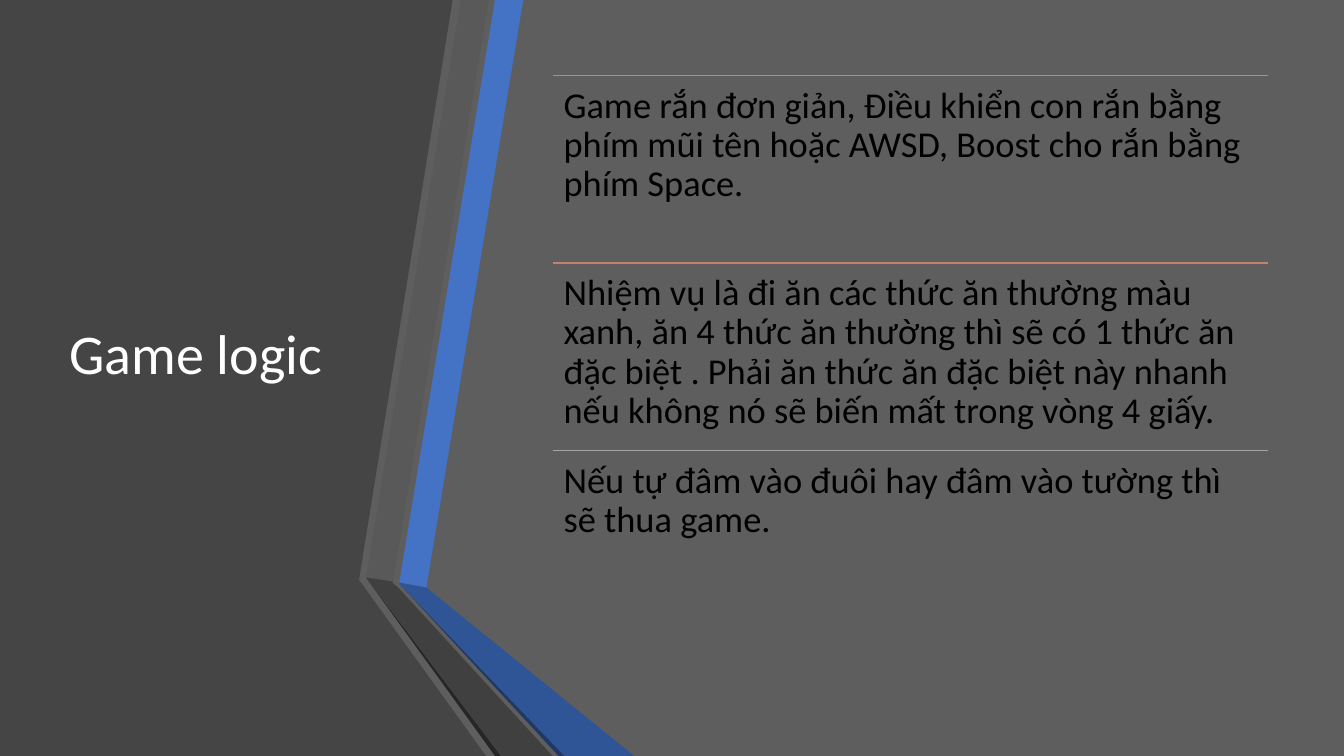
from lxml.etree import SubElement
from pptx import Presentation
from pptx.dml.color import RGBColor
from pptx.enum.shapes import MSO_CONNECTOR
from pptx.enum.text import MSO_ANCHOR
from pptx.oxml.ns import qn
from pptx.util import Inches, Pt

# All positions are percent of the slide's width and height.
FOLD_LEFT, FOLD_TOP = 27.23, 76.4
BLUE_LEFT, BLUE_TOP = 29.71, 77.07
BLUE_CORNER = (31.73, 77.73)

RIBBON_PARTS = [
    ("454545", [(0, 0), (33.68, 0), (26.71, 76.7), (36.16, 100), (0, 100)]),
    ("4472C4", [(BLUE_LEFT, BLUE_TOP), BLUE_CORNER, (38.93, 0), (36.83, 0)]),
    ("595959", [(36.38, 0), (34.28, 0), (FOLD_LEFT, FOLD_TOP), (29.26, 76.93)]),
    ("262626", [(FOLD_LEFT, FOLD_TOP), (36.83, 100), (37.28, 100)]),
    ("203864", [(BLUE_LEFT, 77.2), (41.56, 100), (42.01, 100)]),
    ("2F5597", [(BLUE_LEFT, 77.2), (42.01, 100), (47.19, 100), BLUE_CORNER,
                (BLUE_LEFT, BLUE_TOP)]),
    ("404040", [(41.11, 100), (29.63, 77.73), (29.18, 77.07), (29.26, 76.93),
                (FOLD_LEFT, FOLD_TOP), (37.28, 100)]),
]

RULES = [
    ("ED7D31", "Game rắn đơn giản, Điều khiển con rắn bằng phím mũi tên hoặc AWSD, "
               "Boost cho rắn bằng phím Space."),
    ("C48170", "Nhiệm vụ là đi ăn các thức ăn thường màu xanh, ăn 4 thức ăn thường "
               "thì sẽ có 1 thức ăn đặc biệt . Phải ăn thức ăn đặc biệt này nhanh "
               "nếu không nó sẽ biến mất trong vòng 4 giấy."),
    ("A5A5A5", "Nếu tự đâm vào đuôi hay đâm vào tường thì sẽ thua game."),
]
CONTENT_TOP, CONTENT_HEIGHT = 10, 74.4
LIST_LEFT, LIST_WIDTH = 41.11, 53.26


def colour(value):
    return RGBColor.from_string(value)


class SlidePainter:
    """Holds the type style and the slide; lengths are percent of the slide."""

    font = "Calibri"
    line_spacing = 0.9

    def __init__(self, deck, background):
        self.width, self.height = deck.slide_width, deck.slide_height
        self.page = deck.slides.add_slide(deck.slide_layouts[6])
        fill = self.page.background.fill
        fill.solid()
        fill.fore_color.rgb = colour(background)

    def point(self, x, y):
        return round(self.width * x / 100), round(self.height * y / 100)

    def polygon(self, corners, fill):
        start, *others = [self.point(*corner) for corner in corners]
        builder = self.page.shapes.build_freeform(*start)
        builder.add_line_segments(others, close=True)
        shape = builder.convert_to_shape()
        shape.shadow.inherit = False
        shape.fill.solid()
        shape.fill.fore_color.rgb = colour(fill)
        shape.line.fill.background()

    def rule(self, left, top, width, line_colour):
        line = self.page.shapes.add_connector(
            MSO_CONNECTOR.STRAIGHT, *self.point(left, top), *self.point(left + width, top))
        line.line.color.rgb = colour(line_colour)
        line.line.width = Pt(1)
        SubElement(line._element.spPr, qn("a:effectLst"))

    def text(self, words, left, top, width, height, size, text_colour,
             inset=(0.1, 0.05), anchor=MSO_ANCHOR.TOP, after=0):
        box = self.page.shapes.add_textbox(*self.point(left, top), *self.point(width, height))
        frame = box.text_frame
        frame.word_wrap = True
        frame.vertical_anchor = anchor
        frame.margin_left = frame.margin_right = Inches(inset[0])
        frame.margin_top = frame.margin_bottom = Inches(inset[1])
        para = frame.paragraphs[0]
        para.line_spacing = self.line_spacing
        para.space_after = Pt(after)
        span = para.add_run()
        span.text = words
        span.font.name = self.font
        span.font.size = Pt(size)
        span.font.color.rgb = colour(text_colour)


def main():
    deck = Presentation()
    deck.slide_width, deck.slide_height = Inches(13.33), Inches(7.5)
    painter = SlidePainter(deck, "5E5E5E")

    for fill, corners in RIBBON_PARTS:
        painter.polygon(corners, fill)

    painter.text("Game logic", 4.43, CONTENT_TOP, 22.81, CONTENT_HEIGHT, 40, "FFFFFF",
                 anchor=MSO_ANCHOR.MIDDLE)

    row_height = CONTENT_HEIGHT / len(RULES)
    for row, (line_colour, words) in enumerate(RULES):
        top = CONTENT_TOP + row * row_height
        painter.rule(LIST_LEFT, top, LIST_WIDTH, line_colour)
        painter.text(words, LIST_LEFT, top, LIST_WIDTH, row_height, 26, "000000",
                     inset=(0.11, 0.11), after=9)

    deck.save("out.pptx")


if __name__ == "__main__":
    main()
